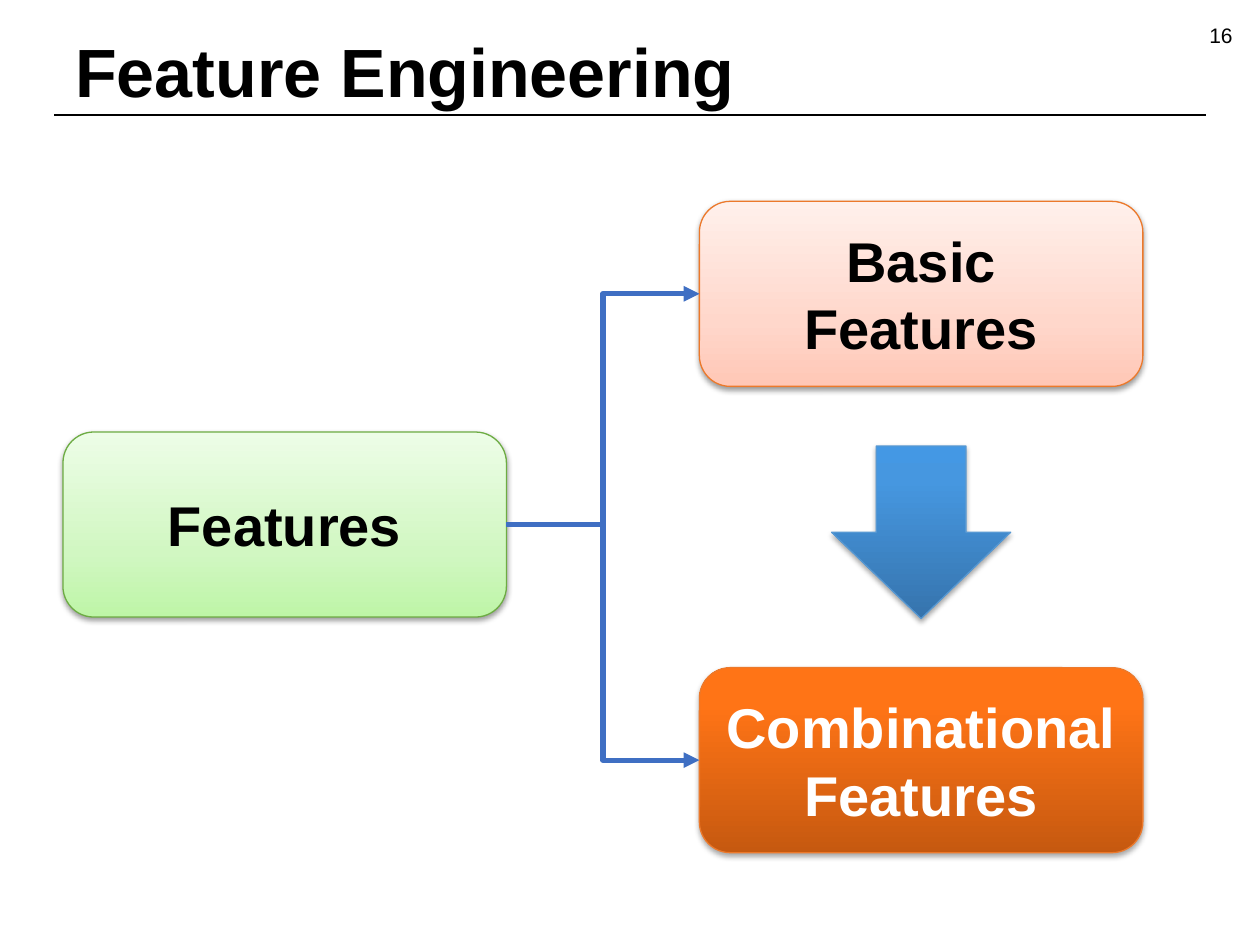
from copy import deepcopy

from lxml.etree import SubElement
from pptx import Presentation
from pptx.dml.color import RGBColor
from pptx.enum.shapes import MSO_CONNECTOR, MSO_SHAPE
from pptx.enum.text import MSO_ANCHOR, PP_ALIGN
from pptx.oxml.ns import qn
from pptx.util import Cm, Pt

COLORS = {
    "black": "000000",
    "white": "FFFFFF",
    "connector": "3F6FC3",
    "green line": "6DAC43",
    "orange line": "EC792B",
    "blue line": "5698D3",
}
# Gradient stops run from bottom to top: percent, colour
GRADIENTS = {
    "green": [(0, "BEF5A7"), (35, "D1F7C2"), (100, "EDFDE7")],
    "peach": [(0, "FFC7B6"), (35, "FFD7CB"), (100, "FFF0EB")],
    "orange": [(0, "C65910"), (80, "FF7416"), (100, "FF7517")],
    "blue": [(0, "3674AD"), (80, "4697E0"), (100, "4498E4")],
}
BOX_WIDTH, BOX_HEIGHT = 8.94, 3.73
RIGHT_COLUMN = 14.1
ARROW_WIDTH, ARROW_HEIGHT = 3.61, 3.48


class SlideBuilder:
    """Holds the style and the current slide; lengths are in centimetres."""

    font_name = "Arial"

    def __init__(self, slide):
        self.slide = slide

    def set_text(self, text_frame, lines, size, color, bold, alignment):
        text_frame.text = "\n".join(lines)
        for paragraph in text_frame.paragraphs:
            paragraph.alignment = alignment
            font = paragraph.font
            font.name, font.size, font.bold = self.font_name, Pt(size), bold
            font.color.rgb = RGBColor.from_string(COLORS[color])

    def text(self, left, top, width, height, text, size, bold=False,
             alignment=PP_ALIGN.LEFT, anchor=MSO_ANCHOR.TOP):
        shape = self.slide.shapes.add_textbox(Cm(left), Cm(top), Cm(width), Cm(height))
        frame = shape.text_frame
        frame.word_wrap = True
        frame.vertical_anchor = anchor
        self.set_text(frame, [text], size, "black", bold, alignment)
        return shape

    def shape(self, kind, left, top, width, height, gradient, line, shadow):
        shape = self.slide.shapes.add_shape(kind, Cm(left), Cm(top), Cm(width), Cm(height))
        self.fill_gradient(shape, GRADIENTS[gradient])
        shape.line.color.rgb = RGBColor.from_string(COLORS[line])
        shape.line.width = Pt(0.75)
        self.drop_shadow(shape, *shadow)
        return shape

    def fill_gradient(self, shape, stops):
        shape.fill.gradient()
        shape.fill.gradient_angle = 90
        stop_list = next(shape.element.spPr.iter(qn("a:gsLst")))
        stop_list.append(deepcopy(stop_list[-1]))
        for stop, (percent, color) in zip(shape.fill.gradient_stops, stops):
            stop.position = percent / 100
            stop.color.rgb = RGBColor.from_string(color)

    def drop_shadow(self, shape, opacity, distance):
        shape.shadow.inherit = False
        effects = shape.element.spPr.find(qn("a:effectLst"))
        shadow = SubElement(effects, qn("a:outerShdw"), blurRad=str(Pt(3.1)),
                            dist=str(Pt(distance)), dir="5400000", rotWithShape="0")
        color = SubElement(shadow, qn("a:srgbClr"), val=COLORS["black"])
        SubElement(color, qn("a:alpha"), val=str(opacity * 1000))

    def box(self, left, top, lines, gradient, line, shadow, color="black"):
        shape = self.shape(MSO_SHAPE.ROUNDED_RECTANGLE, left, top, BOX_WIDTH, BOX_HEIGHT,
                           gradient, line, shadow)
        frame = shape.text_frame
        frame.word_wrap = False
        frame.vertical_anchor = MSO_ANCHOR.MIDDLE
        self.set_text(frame, lines, 32, color, True, PP_ALIGN.CENTER)
        return shape

    def connector(self, kind, start, end, color, width):
        connector = self.slide.shapes.add_connector(kind, *map(Cm, start + end))
        connector.line.color.rgb = RGBColor.from_string(COLORS[color])
        connector.line.width = Pt(width)
        SubElement(connector.element.spPr, qn("a:effectLst"))
        return connector

    def branch(self, source, target):
        connector = self.connector(MSO_CONNECTOR.ELBOW, (0, 0), (1, 1), "connector", 3)
        connector.begin_connect(source, 3)
        connector.end_connect(target, 1)
        outline = connector.element.spPr.find(qn("a:ln"))
        SubElement(outline, qn("a:tailEnd"), type="triangle")


def main():
    presentation = Presentation()
    presentation.slide_width, presentation.slide_height = Cm(25.4), Cm(19.05)
    builder = SlideBuilder(presentation.slides.add_slide(presentation.slide_layouts[6]))

    # Header: rule, title and page number
    builder.connector(MSO_CONNECTOR.STRAIGHT, (1.09, 2.32), (24.31, 2.32), "black", 0.75)
    title = builder.text(1.27, 0.33, 22.86, 1.98, "Feature Engineering", 39, bold=True,
                         anchor=MSO_ANCHOR.BOTTOM)
    title.text_frame.margin_bottom = Cm(0.06)
    builder.text(19.18, 0.33, 5.92, 0.71, "16", 12, alignment=PP_ALIGN.RIGHT)

    # Feature boxes; shadows are opacity in percent and distance in points
    light_shadow, strong_shadow = (38, 1.6), (35, 1.8)
    basic = builder.box(RIGHT_COLUMN, 4.06, ["Basic", "Features"],
                        "peach", "orange line", light_shadow)
    combinational = builder.box(RIGHT_COLUMN, 13.46, ["Combinational", "Features"],
                                "orange", "orange line", strong_shadow, "white")
    features = builder.box(1.27, 8.71, ["Features"], "green", "green line", light_shadow)

    # Branches from the features to both kinds
    for target in (basic, combinational):
        builder.branch(features, target)

    # Arrow centred under the basic features
    builder.shape(MSO_SHAPE.DOWN_ARROW, RIGHT_COLUMN + (BOX_WIDTH - ARROW_WIDTH) / 2, 8.99,
                  ARROW_WIDTH, ARROW_HEIGHT, "blue", "blue line", strong_shadow)

    presentation.save("out.pptx")


if __name__ == "__main__":
    main()
